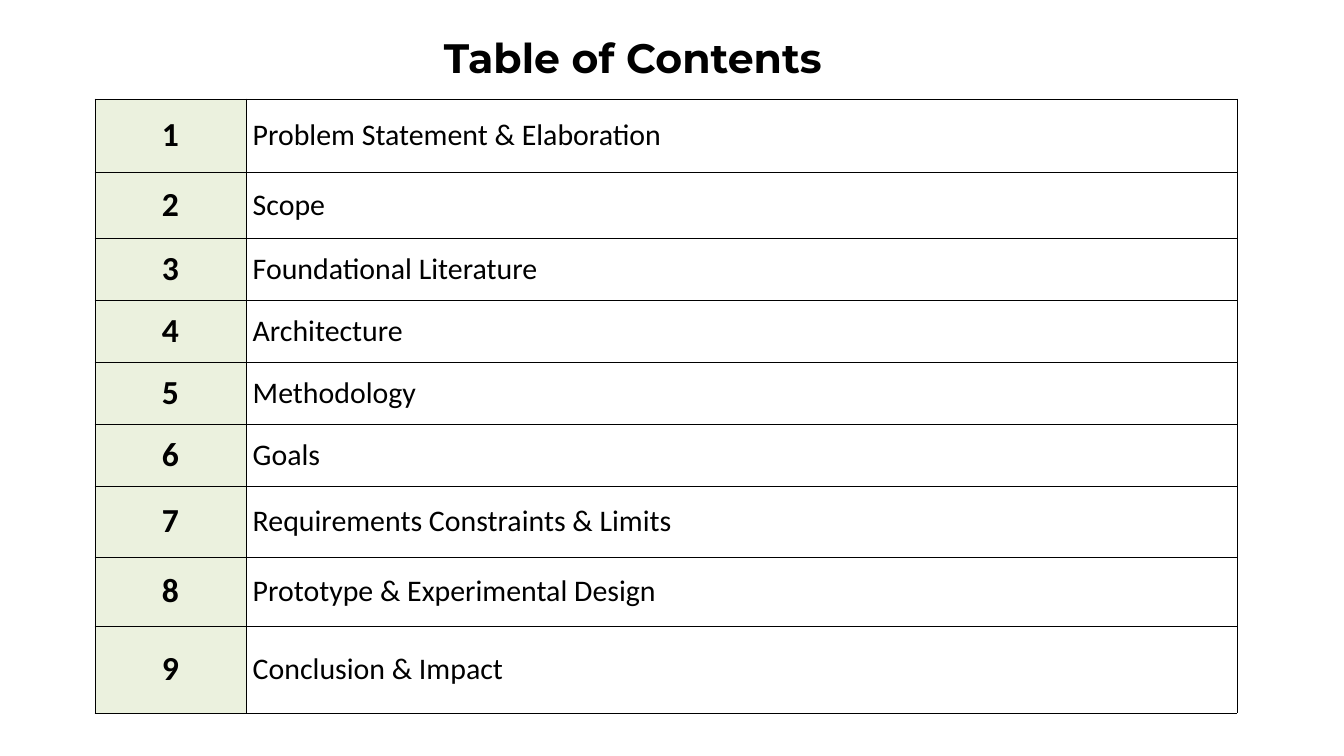
from lxml.etree import SubElement
from pptx import Presentation
from pptx.dml.color import RGBColor
from pptx.enum.text import MSO_ANCHOR as Anchor, PP_ALIGN as Align
from pptx.oxml.ns import qn
from pptx.util import Pt

# Content: each topic with its row height in px
TITLE = "Table of Contents"
TOPICS = [
    ("Problem Statement & Elaboration", 73),
    ("Scope", 66),
    ("Foundational Literature", 62),
    ("Architecture", 62),
    ("Methodology", 62),
    ("Goals", 62),
    ("Requirements Constraints & Limits", 71),
    ("Prototype & Experimental Design", 69),
    ("Conclusion & Impact", 87),
]
COLUMN_WIDTHS = (151, 991)

BLACK = RGBColor(0x00, 0x00, 0x00)
PALE_GREEN = RGBColor(0xEB, 0xF1, 0xDE)


def px(length):
    return round(length * 914400 / 67.2)


def set_font(para, name, size, bold):
    para.font.name = name
    para.font.size = Pt(size)
    para.font.bold = bold
    para.font.color.rgb = BLACK


def add_borders(cell):
    """Draw a black 1 pt line on each side; lines must precede the fill."""
    props = cell._tc.get_or_add_tcPr()
    for index, side in enumerate(("lnL", "lnR", "lnT", "lnB")):
        line = SubElement(props, qn(f"a:{side}"), w=str(Pt(1)))
        fill = SubElement(line, qn("a:solidFill"))
        SubElement(fill, qn("a:srgbClr"), val=str(BLACK))
        props.insert(index, line)


def fill_cell(cell, text, size, bold, align):
    cell.text = text
    cell.vertical_anchor = Anchor.MIDDLE
    cell.margin_top = cell.margin_bottom = 0
    para = cell.text_frame.paragraphs[0]
    para.alignment = align
    para.space_after = Pt(16)
    set_font(para, "Calibri", size, bold)
    add_borders(cell)


deck = Presentation()
deck.slide_width, deck.slide_height = px(1344), px(756)
page = deck.slides.add_slide(deck.slide_layouts[5])

# Title
title = page.shapes.title
title.left, title.top, title.width, title.height = map(px, (392, 15, 482, 84))
title.text_frame.text = TITLE
title.text_frame.vertical_anchor = Anchor.MIDDLE
heading = title.text_frame.paragraphs[0]
heading.alignment = Align.CENTER
set_font(heading, "Montserrat", 44, True)

# Numbered table of topics
table_height = sum(height for _, height in TOPICS)
table = page.shapes.add_table(
    len(TOPICS), len(COLUMN_WIDTHS),
    px(95), px(99), px(sum(COLUMN_WIDTHS)), px(table_height),
).table
table.first_row = table.horz_banding = False
for column, width in zip(table.columns, COLUMN_WIDTHS):
    column.width = px(width)

for index, (topic, height) in enumerate(TOPICS):
    table.rows[index].height = px(height)
    number_cell, topic_cell = table.rows[index].cells
    number_cell.fill.solid()
    number_cell.fill.fore_color.rgb = PALE_GREEN
    topic_cell.fill.background()
    fill_cell(number_cell, str(index + 1), 36, True, Align.CENTER)
    fill_cell(topic_cell, topic, 32, False, Align.LEFT)

deck.save("out.pptx")
